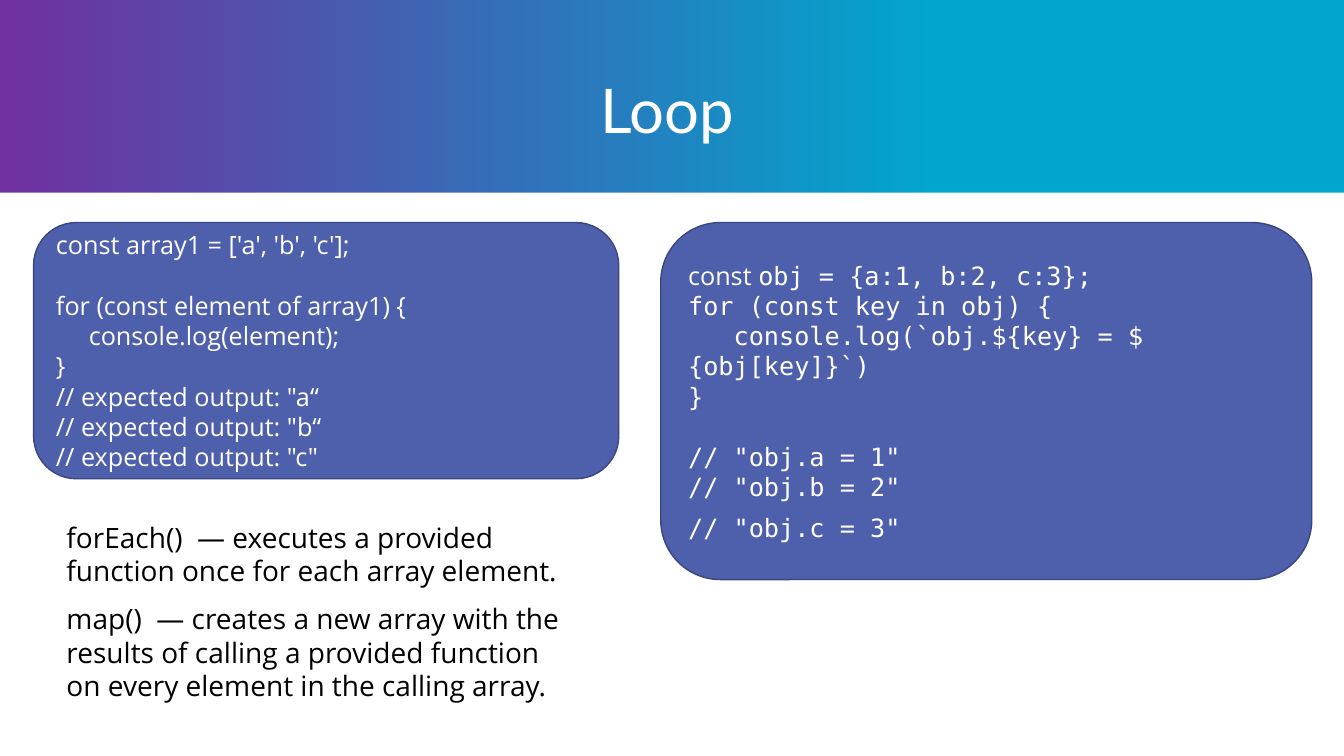
from dataclasses import dataclass
from pptx import Presentation
from pptx.dml.color import RGBColor as RGB
from pptx.enum.shapes import MSO_SHAPE as Kind
from pptx.enum.text import MSO_ANCHOR as Anchor, PP_ALIGN as Align
from pptx.util import Pt


@dataclass(frozen=True)
class Theme:
    cyan: str = "00A6CE"
    purple: str = "7030A0"
    panel: str = "4E5FAB"
    edge: str = "3A467F"
    white: str = "FFFFFF"
    black: str = "000000"
    head: str = "Lato"
    sans: str = "Open Sans"
    mono: str = "DejaVu Sans Mono"
    title: int = 44
    body: int = 20
    code: int = 18
    line: float = 21.6
    last: float = 28.8


THEME = Theme()


def write(par, text, font=THEME.sans, size=THEME.code, color=THEME.white,
          align=Align.LEFT, gap=0, lead=None, indent=0):
    par.alignment = align
    par.space_before = Pt(gap)
    if lead:
        par.line_spacing = lead
    if indent:
        par._p.get_or_add_pPr().set("indent", str(Pt(indent)))
    run = par.add_run()
    run.text = text
    run.font.name = font
    run.font.size = Pt(size)
    run.font.color.rgb = RGB.from_string(color)


def fill_text(frame, lines, **style):
    frame.word_wrap = True
    for i, (text, extra) in enumerate(lines):
        par = frame.add_paragraph() if i else frame.paragraphs[0]
        write(par, text, **{**style, **extra})


def add_text(slide, box, lines, **style):
    frame = slide.shapes.add_textbox(*map(Pt, box)).text_frame
    frame.margin_left = 0
    fill_text(frame, lines, **style)


def add_box(slide, kind, box, fill, edge=None):
    shape = slide.shapes.add_shape(kind, *map(Pt, box))
    shape.shadow.inherit = False
    shape.fill.solid()
    shape.fill.fore_color.rgb = RGB.from_string(fill)
    if edge:
        shape.line.color.rgb = RGB.from_string(edge)
        shape.line.width = Pt(1)
    else:
        shape.line.fill.background()
    return shape


def add_code(slide, box, lines, **style):
    panel = add_box(slide, Kind.ROUNDED_RECTANGLE, box, THEME.panel, THEME.edge)
    panel.text_frame.vertical_anchor = Anchor.MIDDLE
    fill_text(panel.text_frame, lines, lead=Pt(THEME.line), **style)
    return panel.text_frame


def paint_back(slide):
    fill = slide.background.fill
    fill.gradient()
    fill.gradient_angle = 180
    for stop, (place, color) in zip(fill.gradient_stops,
                                    [(0.3, THEME.cyan), (1, THEME.purple)]):
        stop.position = place
        stop.color.rgb = RGB.from_string(color)


def main():
    deck = Presentation()
    deck.slide_width, deck.slide_height = Pt(960), Pt(540)
    slide = deck.slides.add_slide(deck.slide_layouts[6])
    paint_back(slide)
    add_box(slide, Kind.RECTANGLE, (0, 137.5, 960, 402.5), THEME.white)
    add_text(slide, (54, 54, 852, 54), [("Loop", {})], font=THEME.head,
             size=THEME.title, align=Align.CENTER, lead=0.9)
    add_text(slide, (47.5, 368, 371, 148), [
        ("forEach()  — executes a provided function once for each array element.", {}),
        ("map()  — creates a new array with the results of calling a provided "
         "function on every element in the calling array.", {"gap": 10}),
    ], size=THEME.body, color=THEME.black, lead=Pt(24))
    frame = add_code(slide, (472, 159, 465, 255), [
        ("const ", {"font": THEME.sans}),
        ("for (const key in obj) {", {}),
        ("console.log(`obj.${key} = ${obj[key]}`)", {"indent": 32.5}),
        ("}", {}),
        ('// "obj.a = 1"', {"gap": THEME.line}),
        ('// "obj.b = 2"', {}),
        ('// "obj.c = 3"', {"lead": Pt(THEME.last)}),
    ], font=THEME.mono)
    write(frame.paragraphs[0], "obj = {a:1, b:2, c:3};", font=THEME.mono)
    add_code(slide, (24, 159, 418, 183), [
        ("const array1 = ['a', 'b', 'c'];", {}),
        ("for (const element of array1) {", {"gap": THEME.line}),
        ("console.log(element);", {"indent": 23.4}),
        ("}", {}),
        ('// expected output: "a“', {}),
        ('// expected output: "b“', {}),
        ('// expected output: "c"', {}),
    ])
    deck.save("out.pptx")


if __name__ == "__main__":
    main()
